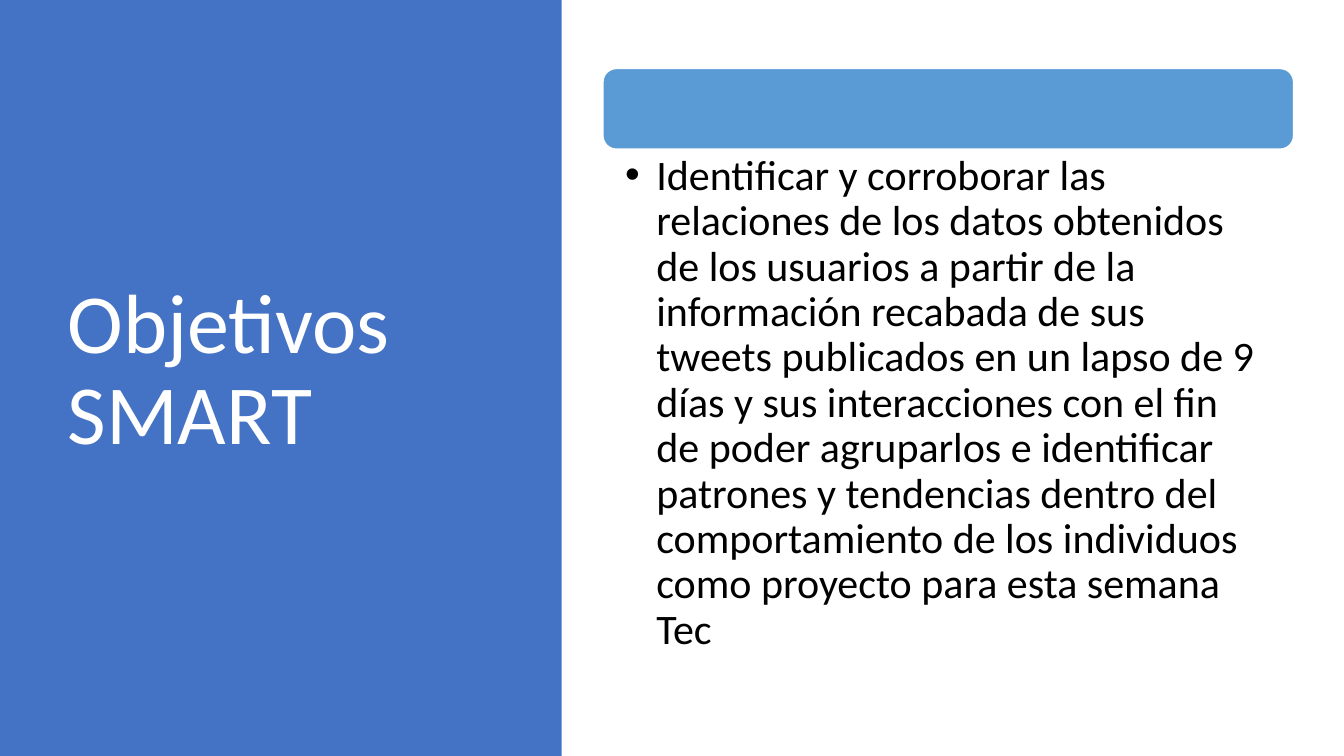
from lxml import etree
from pptx import Presentation
from pptx.dml.color import RGBColor
from pptx.enum.shapes import MSO_SHAPE
from pptx.enum.text import MSO_ANCHOR, MSO_AUTO_SIZE, PP_ALIGN
from pptx.oxml.ns import qn
from pptx.util import Inches, Pt

RECTANGLE = MSO_SHAPE.RECTANGLE
ROUNDED = MSO_SHAPE.ROUNDED_RECTANGLE
TOP, MIDDLE = MSO_ANCHOR.TOP, MSO_ANCHOR.MIDDLE
LEFT = PP_ALIGN.LEFT
NO_AUTOFIT = MSO_AUTO_SIZE.NONE

WIDTH, HEIGHT = 13.33, 7.5
PANEL_WIDTH = 5.57 / WIDTH
MARGIN_TOP = 0.68 / HEIGHT
BAR_HEIGHT = 0.8 / HEIGHT
CONTENT_LEFT, CONTENT_WIDTH = 5.98 / WIDTH, 6.85 / WIDTH
BODY_HEIGHT = 5.21 / HEIGHT
TITLE_LEFT, TITLE_WIDTH = 0.57 / WIDTH, 4.16 / WIDTH
TITLE_HEIGHT = 6.02 / HEIGHT

OBJECTIVE = (
    "Identificar y corroborar las relaciones de los datos obtenidos de los usuarios "
    "a partir de la información recabada de sus tweets publicados en un lapso de 9 días "
    "y sus interacciones con el fin de poder agruparlos e identificar patrones y "
    "tendencias dentro del comportamiento de los individuos como proyecto para esta "
    "semana Tec"
)


def color(value):
    return RGBColor.from_string(value)


class SlideBuilder:
    font = "Calibri"
    white, black = "FFFFFF", "000000"
    panel_blue, bar_blue = "4472C4", "5B9BD5"
    line_spacing = 0.9

    def __init__(self, presentation):
        self.slide = presentation.slides.add_slide(presentation.slide_layouts[1])
        self.slide.background.fill.solid()
        self.slide.background.fill.fore_color.rgb = color(self.white)

    def box(self, left, top, width, height):
        return (Inches(left * WIDTH), Inches(top * HEIGHT),
                Inches(width * WIDTH), Inches(height * HEIGHT))

    def block(self, kind, area, fill, line=None):
        shape = self.slide.shapes.add_shape(kind, *self.box(*area))
        shape.shadow.inherit = False
        shape.fill.solid()
        shape.fill.fore_color.rgb = color(fill)
        if line:
            shape.line.color.rgb = color(line)
            shape.line.width = Pt(1)
        else:
            shape.line.fill.background()
        return shape

    def send_to_back(self, shape):
        shape.element.getparent().insert(2, shape.element)

    def fill_placeholder(self, placeholder, area, text, size, ink, anchor):
        (placeholder.left, placeholder.top,
         placeholder.width, placeholder.height) = self.box(*area)
        frame = placeholder.text_frame
        frame.word_wrap = True
        frame.auto_size = NO_AUTOFIT
        frame.vertical_anchor = anchor
        paragraph = frame.paragraphs[0]
        paragraph.alignment = LEFT
        paragraph.line_spacing = self.line_spacing
        paragraph.space_before = Pt(0)
        run = paragraph.add_run()
        run.text = text
        run.font.name = self.font
        run.font.size = Pt(size)
        run.font.color.rgb = color(ink)
        return frame

    def title(self, area, text):
        self.fill_placeholder(self.slide.shapes.title, area, text, 60, self.white, MIDDLE)

    def bullet(self, area, text):
        body = self.slide.placeholders[1]
        frame = self.fill_placeholder(body, area, text, 30, self.black, TOP)
        frame.margin_left, frame.margin_right = Inches(0.22), Inches(0.3)
        frame.margin_top = frame.margin_bottom = Inches(0.05)
        paragraph = frame.paragraphs[0]
        paragraph.space_after = Pt(6)
        properties = paragraph._p.get_or_add_pPr()
        properties.set("marL", str(Inches(0.31)))
        properties.set("indent", str(-Inches(0.31)))
        etree.SubElement(properties, qn("a:buFont")).set("typeface", "Arial")
        etree.SubElement(properties, qn("a:buChar")).set("char", "•")


def main():
    presentation = Presentation()
    presentation.slide_width = Inches(WIDTH)
    presentation.slide_height = Inches(HEIGHT)
    builder = SlideBuilder(presentation)

    panel = builder.block(RECTANGLE, (0, 0, PANEL_WIDTH, 1), builder.panel_blue)
    builder.send_to_back(panel)
    builder.title((TITLE_LEFT, MARGIN_TOP, TITLE_WIDTH, TITLE_HEIGHT), "Objetivos SMART")
    builder.block(ROUNDED, (CONTENT_LEFT, MARGIN_TOP, CONTENT_WIDTH, BAR_HEIGHT),
                  builder.bar_blue, builder.white)
    builder.bullet((CONTENT_LEFT, MARGIN_TOP + BAR_HEIGHT, CONTENT_WIDTH, BODY_HEIGHT),
                   OBJECTIVE)
    presentation.save("out.pptx")


if __name__ == "__main__":
    main()
